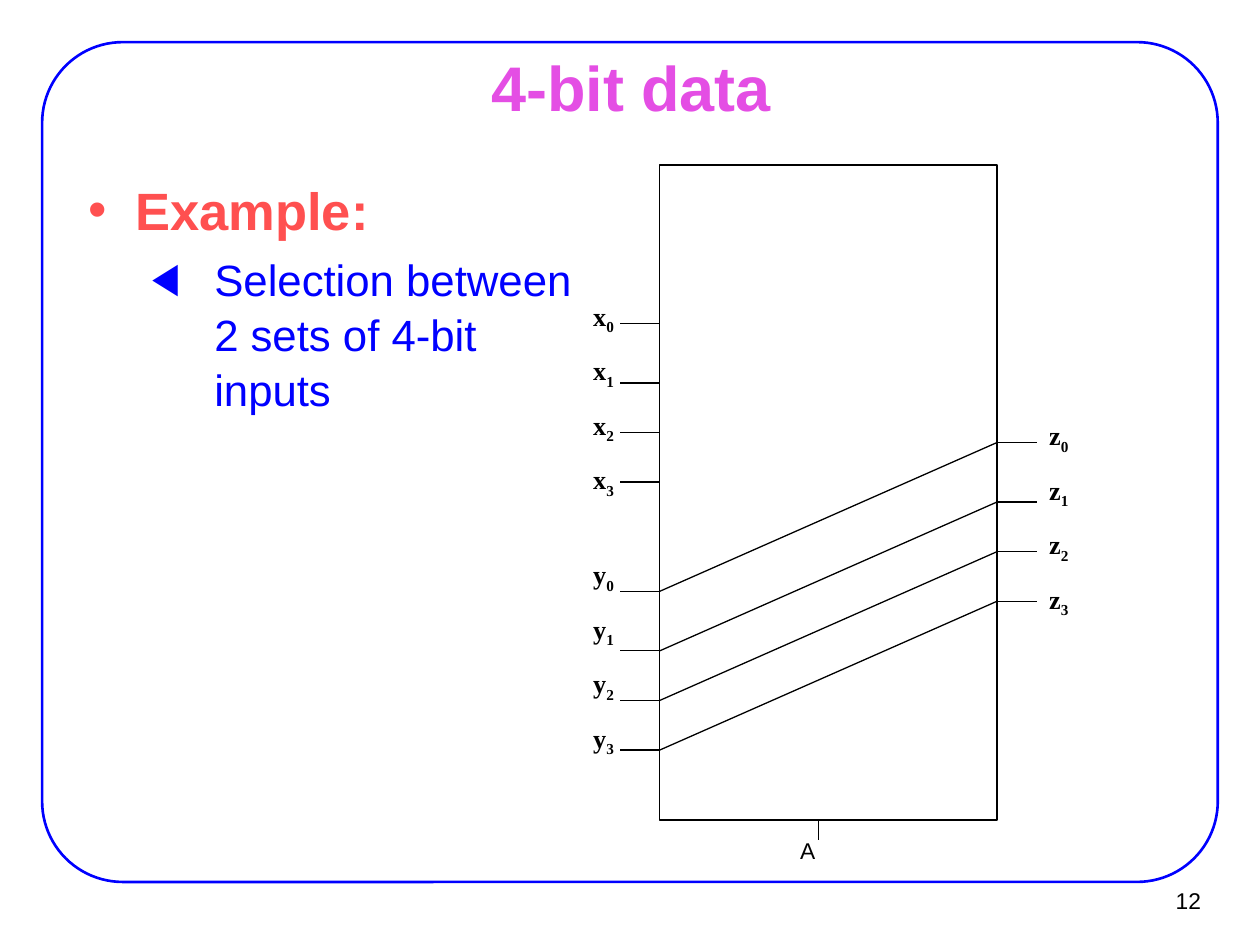
import pptx
import pptx.dml.color
import pptx.enum.shapes
import pptx.enum.text
import pptx.util
from lxml import etree
from pptx.util import Cm, Pt

NAMESPACE = "{http://schemas.openxmlformats.org/drawingml/2006/main}"
ALIGN = pptx.enum.text.PP_ALIGN
SHAPES = pptx.enum.shapes.MSO_SHAPE


def color(value):
    """Turn a hex string into a colour."""
    return pptx.dml.color.RGBColor.from_string(value)


class Builder:
    """Holds the style and the current slide."""

    sans, serif = "Arial", "Times New Roman"
    black, blue, pink, red = "000000", "0000FF", "E44EE4", "FF5050"
    inset = (0.28, 0.15)

    def __init__(self, slide):
        """Keep the slide to draw on."""
        self.slide = slide

    def run(self, paragraph, text, size, font=None, tone=None, bold=False):
        """Add one formatted run."""
        run = paragraph.add_run()
        run.text = text
        run.font.size = Pt(size)
        run.font.name = font or self.sans
        run.font.bold = bold
        run.font.color.rgb = color(tone or self.black)
        return run

    def placeholder(self, shape, left, top, width, height, anchor):
        """Move a placeholder and return its text frame."""
        shape.left, shape.top = Cm(left), Cm(top)
        shape.width, shape.height = Cm(width), Cm(height)
        frame = shape.text_frame
        frame.auto_size = pptx.enum.text.MSO_AUTO_SIZE.NONE
        frame.vertical_anchor = anchor
        frame.margin_left = frame.margin_right = Cm(self.inset[0])
        frame.margin_top = frame.margin_bottom = Cm(self.inset[1])
        return frame

    def bullet(self, paragraph, character, level, margin, hanging):
        """Give a paragraph its bullet, indent and spacing."""
        paragraph.level = level
        paragraph.line_spacing = 1.05
        properties = paragraph._p.get_or_add_pPr()
        properties.set("marL", str(Cm(margin)))
        properties.set("indent", str(-Cm(hanging)))
        etree.SubElement(properties, NAMESPACE + "buChar", char=character)

    def outline(self, kind, left, top, width, height, tone, weight):
        """Add an unfilled shape."""
        shape = self.slide.shapes.add_shape(
            kind, Cm(left), Cm(top), Cm(width), Cm(height))
        shape.shadow.inherit = False
        shape.fill.background()
        shape.line.color.rgb = color(tone)
        shape.line.width = Pt(weight)
        return shape

    def text_box(self, left, top, width, height, align=ALIGN.LEFT):
        """Add a text box and return its first paragraph."""
        box = self.slide.shapes.add_textbox(
            Cm(left), Cm(top), Cm(width), Cm(height))
        box.text_frame.word_wrap = True
        paragraph = box.text_frame.paragraphs[0]
        paragraph.alignment = align
        return paragraph

    def signal(self, letter, index, left, top):
        """Add a signal name with its subscript."""
        paragraph = self.text_box(left, top, 1.19, 0.89)
        self.run(paragraph, letter, 15, self.serif, bold=True)
        subscript = self.run(paragraph, str(index), 15, self.serif, bold=True)
        subscript.font._element.set("baseline", "-25000")

    def line(self, x1, y1, x2, y2):
        """Add a thin black line."""
        connector = self.slide.shapes.add_connector(
            pptx.enum.shapes.MSO_CONNECTOR.STRAIGHT,
            Cm(x1), Cm(y1), Cm(x2), Cm(y2))
        connector.line.color.rgb = color(self.black)
        connector.line.width = Pt(0.75)
        etree.SubElement(connector._element.spPr, NAMESPACE + "effectLst")


def main():
    """Build and save the slide."""
    presentation = pptx.Presentation()
    presentation.slide_width, presentation.slide_height = Cm(25.4), Cm(19.05)
    slide = presentation.slides.add_slide(presentation.slide_layouts[1])
    builder = Builder(slide)
    anchors = pptx.enum.text.MSO_ANCHOR

    frame = builder.outline(SHAPES.ROUNDED_RECTANGLE, 0.85, 0.85, 23.7, 16.93,
                            builder.blue, 1.5)
    frame.adjustments[0] = 0.096
    slide.shapes._spTree.insert(2, frame._element)

    title = builder.placeholder(slide.shapes.title, 1.93, 1.12, 21.59, 1.24,
                                anchors.MIDDLE).paragraphs[0]
    title.alignment = ALIGN.CENTER
    builder.run(title, "4-bit data", 36, tone=builder.pink, bold=True)

    body = builder.placeholder(slide.placeholders[1], 1.5, 3.38, 10.6, 12.9,
                               anchors.TOP)
    heading = body.paragraphs[0]
    builder.bullet(heading, "•", 0, 0.95, 0.95)
    builder.run(heading, "Example: ", 30, tone=builder.red, bold=True)
    detail = body.add_paragraph()
    builder.bullet(detail, "◀", 1, 2.54, 1.27)
    builder.run(detail, "Selection between 2 sets of 4-bit inputs", 25,
                tone=builder.blue)

    number = builder.text_box(22.91, 17.75, 1.55, 0.94, ALIGN.RIGHT)
    builder.run(number, "12", 13)

    box_left, box_right, box_bottom, stub = 13.3, 20.1, 16.53, 0.8
    offsets = (0, 1.2, 2.2, 3.2)
    input_top, output_top = 11.92, 8.92
    # letter, label left, first label top, stub left, first stub height
    groups = (
        ("x", 11.71, 5.92, box_left - stub, 6.52),
        ("y", 11.71, 11.13, box_left - stub, input_top),
        ("z", 20.9, 8.33, box_right, output_top),
    )
    for letter, label_left, label_top, stub_left, stub_top in groups:
        for index, offset in enumerate(offsets):
            builder.signal(letter, index, label_left, label_top + 1.1 * index)
            height = stub_top + offset
            builder.line(stub_left, height, stub_left + stub, height)

    builder.outline(SHAPES.RECTANGLE, box_left, 3.33, box_right - box_left,
                    box_bottom - 3.33, builder.black, 0.75)
    for offset in offsets:
        builder.line(box_left, input_top + offset,
                     box_right, output_top + offset)
    builder.line(16.5, box_bottom + 0.4, 16.5, box_bottom)
    builder.run(builder.text_box(15.88, 16.74, 0.9, 0.81), "A", 13)

    presentation.save("out.pptx")


main()
